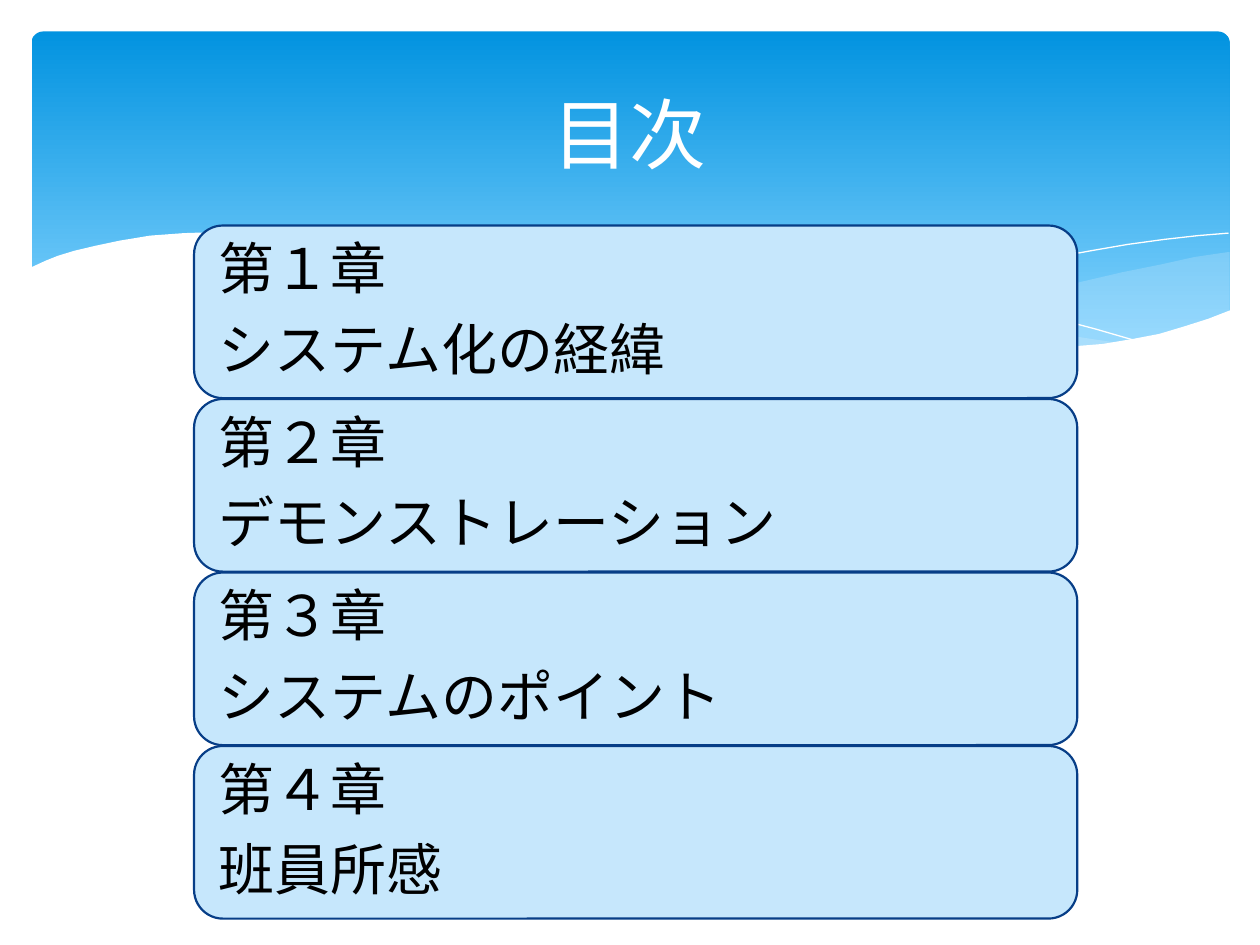
from dataclasses import dataclass
from typing import Optional

from lxml.etree import SubElement
from pptx import Presentation
from pptx.dml.color import RGBColor as RGB
from pptx.enum.shapes import MSO_SHAPE as SHAPE
from pptx.enum.text import MSO_ANCHOR as ANCHOR, PP_ALIGN as ALIGN
from pptx.oxml.ns import qn
from pptx.util import Inches, Pt


@dataclass(frozen=True)
class Theme:
    font: str = "Calibri"
    title_size: int = 44
    body_size: int = 32
    white: RGB = RGB(0xFF, 0xFF, 0xFF)
    black: RGB = RGB(0, 0, 0)
    sky_top: RGB = RGB(0x02, 0x93, 0xE0)
    sky_bottom: RGB = RGB(0x83, 0xD3, 0xFE)
    pale: RGB = RGB(0xC6, 0xE7, 0xFC)
    navy: RGB = RGB(0x07, 0x3E, 0x87)


@dataclass(frozen=True)
class Wave:
    """An outline in hundredths of an inch, filled or drawn as a hairline."""
    points: list[tuple[int, int]]
    fill: Optional[RGB] = None
    alpha: int = 100
    line: Optional[RGB] = None


@dataclass(frozen=True)
class Chapter:
    number: str
    name: str


T = Theme()

WAVES = [
    Wave([(975, 200), (948, 204), (921, 210), (891, 216), (861, 223), (805, 237),
          (753, 248), (706, 257), (661, 265), (691, 269), (719, 272), (745, 275),
          (769, 277), (803, 278), (835, 277), (863, 275), (889, 272), (913, 267),
          (935, 262), (949, 257), (963, 252), (976, 247), (976, 200)],
         fill=T.pale, alpha=29),
    Wave([(893, 273), (866, 269), (807, 260), (741, 247), (668, 231), (629, 222),
          (584, 211), (541, 203), (502, 196), (465, 191), (420, 187), (380, 185),
          (344, 186), (313, 188), (286, 191), (323, 196), (362, 203), (404, 211),
          (449, 222), (530, 240), (601, 255), (650, 264), (695, 270), (736, 275),
          (773, 277), (807, 278), (838, 278), (867, 276), (893, 273)],
         fill=T.pale, alpha=40),
    Wave([(309, 195), (328, 192), (353, 189), (387, 187), (433, 187), (469, 189),
          (510, 192), (556, 197), (608, 204), (665, 213), (727, 226), (795, 241),
          (831, 251), (869, 261), (907, 272)], line=T.white),
    Wave([(613, 257), (653, 246), (695, 235), (748, 223), (806, 210), (866, 199),
          (895, 194), (924, 190), (951, 187), (975, 185)], line=T.white),
    Wave([(977, 246), (959, 253), (940, 259), (920, 265), (899, 269), (875, 273),
          (850, 275), (823, 277), (793, 276), (761, 275), (726, 272), (688, 268),
          (648, 262), (603, 254), (555, 245), (503, 233), (447, 220), (391, 207),
          (340, 197), (292, 190), (250, 186), (211, 184), (177, 184), (146, 185),
          (119, 187), (95, 191), (76, 195), (59, 199), (46, 203), (36, 207),
          (23, 213), (23, 329), (977, 329)], fill=T.white),
]

CHAPTERS = [
    Chapter("第１章", "システム化の経緯"),
    Chapter("第２章", "デモンストレーション"),
    Chapter("第３章", "システムのポイント"),
    Chapter("第４章", "班員所感"),
]


def apply(target, values: dict) -> None:
    for name, value in values.items():
        setattr(target, name, value)


def style_run(r, size: int, color: RGB) -> None:
    apply(r.font, {"name": T.font, "size": Pt(size)})
    r.font.color.rgb = color


def draw_band(s) -> None:
    sp = s.shapes.add_shape(SHAPE.ROUNDED_RECTANGLE, Inches(0.25), Inches(0.25),
                            Inches(9.51), Inches(2.7))
    sp.adjustments[0] = 0.034
    sp.shadow.inherit = False
    sp.line.fill.background()
    sp.fill.gradient()
    sp.fill.gradient_angle = 270
    stops = [(0, T.sky_top), (0.9, T.sky_bottom)]
    for stop, (position, color) in zip(sp.fill.gradient_stops, stops):
        stop.position = position
        stop.color.rgb = color


def draw_wave(s, wave: Wave) -> None:
    builder = s.shapes.build_freeform(*wave.points[0], scale=Inches(0.01))
    builder.add_line_segments(wave.points[1:], close=wave.fill is not None)
    sp = builder.convert_to_shape()
    sp.shadow.inherit = False
    if wave.fill is None:
        sp.fill.background()
        sp.line.color.rgb = wave.line
        sp.line.width = Pt(0)
        return
    sp.line.fill.background()
    sp.fill.solid()
    sp.fill.fore_color.rgb = wave.fill
    if wave.alpha < 100:
        color = sp._element.spPr.find(qn("a:solidFill"))[0]
        SubElement(color, qn("a:alpha"), val=str(wave.alpha * 1000))


def draw_title(s, text: str) -> None:
    title = s.shapes.title
    apply(title, {"left": Inches(0.5), "top": Inches(0.37),
                  "width": Inches(9), "height": Inches(1.37)})
    tf = title.text_frame
    tf.vertical_anchor = ANCHOR.MIDDLE
    p = tf.paragraphs[0]
    p.alignment = ALIGN.CENTER
    r = p.add_run()
    r.text = text
    style_run(r, T.title_size, T.white)
    s.shapes._spTree.append(title._element)  # in front of the backdrop


def draw_chapter(s, chapter: Chapter, top: float) -> None:
    sp = s.shapes.add_shape(SHAPE.ROUNDED_RECTANGLE, Inches(1.54), Inches(top),
                            Inches(7.01), Inches(1.37))
    sp.shadow.inherit = False
    sp.fill.solid()
    sp.fill.fore_color.rgb = T.pale
    sp.line.color.rgb = T.navy
    sp.line.width = Pt(1.25)
    tf = sp.text_frame
    apply(tf, {"word_wrap": True, "vertical_anchor": ANCHOR.MIDDLE})
    apply(tf, {f"margin_{side}": Inches(0.13)
               for side in ("left", "top", "right", "bottom")})
    for i, text in enumerate((chapter.number, chapter.name)):
        p = tf.add_paragraph() if i else tf.paragraphs[0]
        apply(p, {"alignment": ALIGN.LEFT, "line_spacing": 0.9})
        after = SubElement(p._p.get_or_add_pPr(), qn("a:spcAft"))
        SubElement(after, qn("a:spcPct"), val="35000")
        r = p.add_run()
        r.text = text
        style_run(r, T.body_size, T.black)


prs = Presentation()
apply(prs, {"slide_width": Inches(10), "slide_height": Inches(7.5)})
s = prs.slides.add_slide(prs.slide_layouts[5])

# Backdrop
draw_band(s)
for wave in WAVES:
    draw_wave(s, wave)

# Title
draw_title(s, "目次")

# Chapter list
for i, chapter in enumerate(CHAPTERS):
    draw_chapter(s, chapter, 1.79 + i * 1.377)

prs.save("out.pptx")
